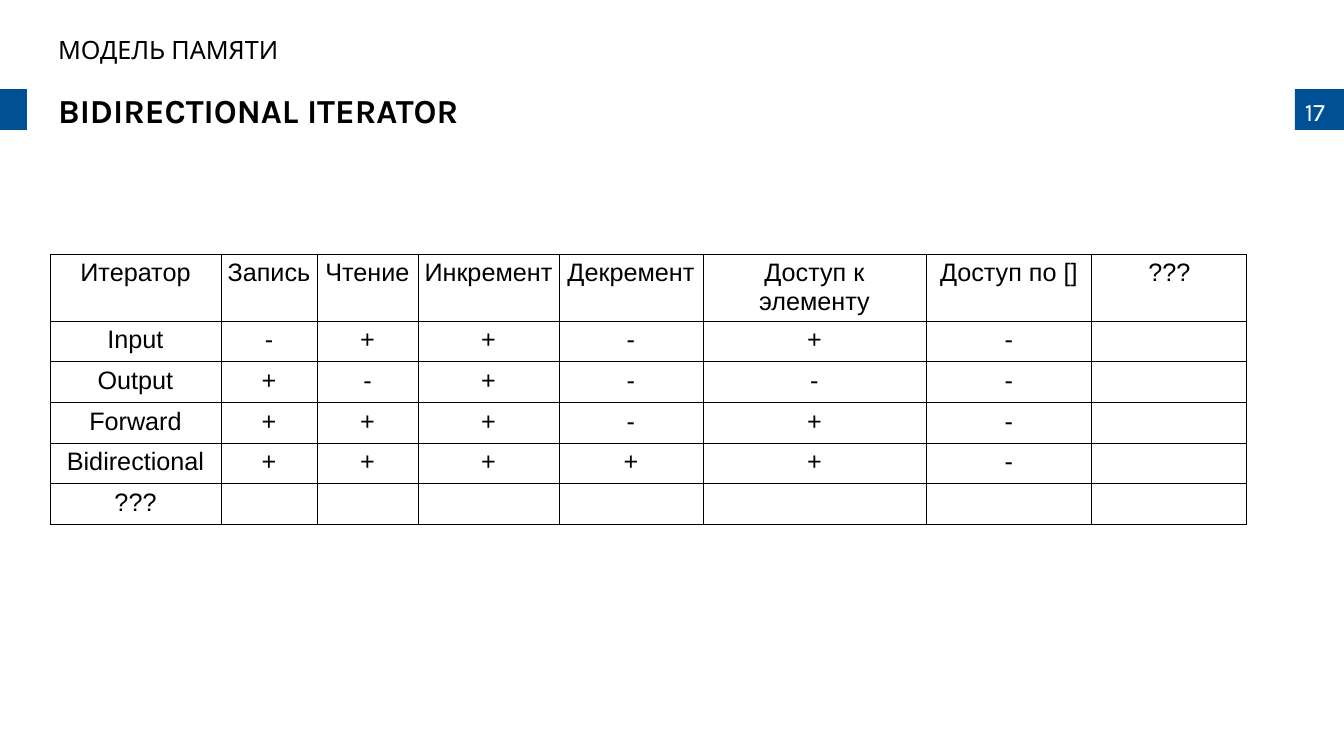
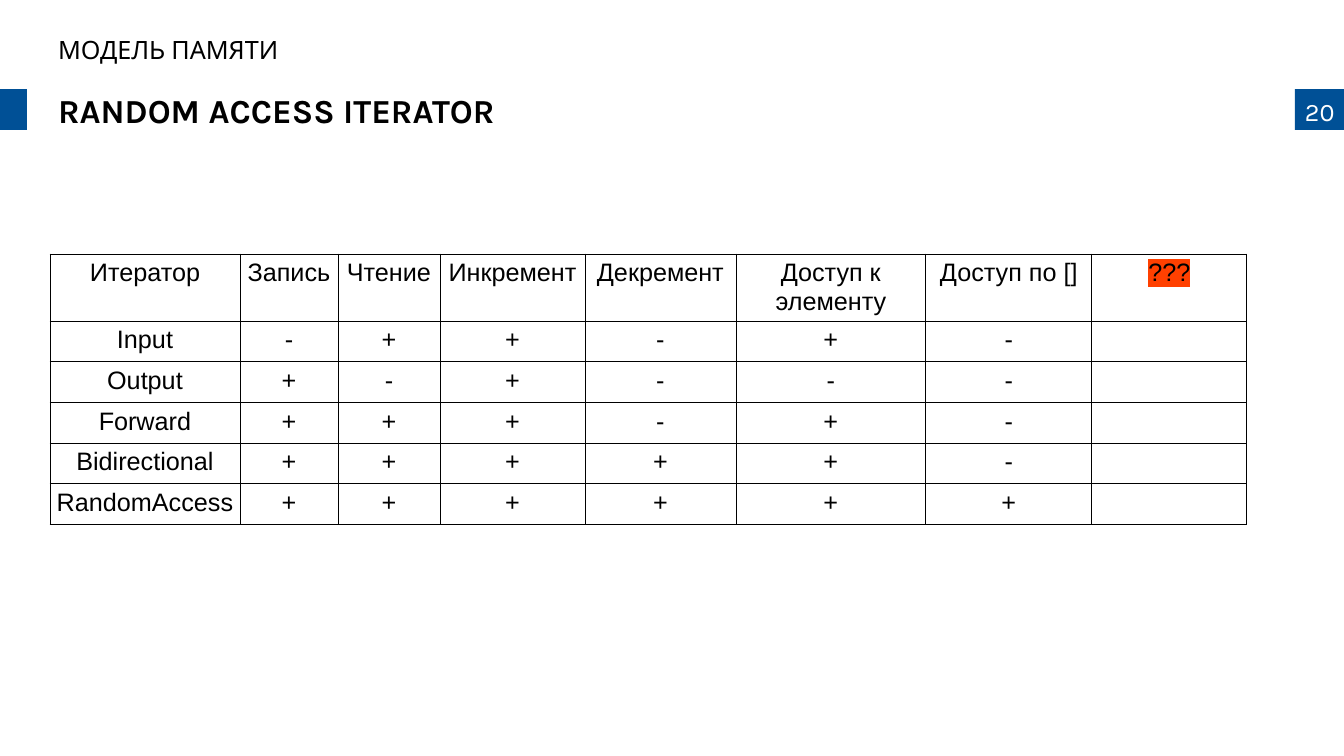
from lxml import etree
from pptx import Presentation
from pptx.dml.color import RGBColor
from pptx.enum.shapes import MSO_SHAPE
from pptx.enum.text import MSO_ANCHOR, MSO_AUTO_SIZE, PP_ALIGN
from pptx.oxml.ns import qn
from pptx.util import Pt

RECT = MSO_SHAPE.RECTANGLE
TOP = MSO_ANCHOR.TOP
NO_FIT = MSO_AUTO_SIZE.NONE
LEFT, CENTER = PP_ALIGN.LEFT, PP_ALIGN.CENTER

SLIDE_W, SLIDE_H = 1344, 756
EMU_PER_PX = 12192000 / SLIDE_W
TITLE_ONLY = 5

BLUE, BLACK, WHITE, ORANGE = "005096", "000000", "FFFFFF", "FF4000"
HEAD_FONT, TABLE_FONT = "Karla", "Arial"

BAND_Y, BAND_H = 89, 41
LEFT_BAND_W, RIGHT_BAND_W = 27, 49
RIGHT_BAND_X = SLIDE_W - RIGHT_BAND_W
HEAD_X, HEAD_W = 48, 1099
INSET_X, INSET_Y = 10, 5

TABLE_X, TABLE_Y = 50, 254
HEADER_H, ROW_H = 67, 40
CELL_INSET_X = 4
BORDER_PT = 0.57

SECTION = "МОДЕЛЬ ПАМЯТИ"
UNKNOWN = "???"
HEADER = ["Итератор", "Запись", "Чтение", "Инкремент", "Декремент",
          "Доступ к элементу", "Доступ по []", UNKNOWN]
# One mark per operation, in the order of the header
KNOWN_ITERATORS = [
    ("Input", "-++-+-"),
    ("Output", "+-+---"),
    ("Forward", "+++-+-"),
    ("Bidirectional", "+++++-"),
]


def px(n):
    return round(n * EMU_PER_PX)


def rgb(color):
    return RGBColor.from_string(color)


def format_paragraph(p, size, font, color, bold=False, align=LEFT):
    p.alignment = align
    for r in p.runs:
        r.font.size = Pt(size)
        r.font.name = font
        r.font.bold = bold
        r.font.color.rgb = rgb(color)


def fill_text(sp, text, box, size, color=BLACK, bold=False, spacing=0.9,
              right_inset=INSET_X):
    """Place a text shape and give it one line of heading text."""
    sp.left, sp.top, sp.width, sp.height = map(px, box)
    tf = sp.text_frame
    tf.text = text
    tf.word_wrap = True
    tf.auto_size = NO_FIT
    tf.vertical_anchor = TOP
    tf.margin_left, tf.margin_right = px(INSET_X), px(right_inset)
    tf.margin_top = tf.margin_bottom = px(INSET_Y)
    p = tf.paragraphs[0]
    p.line_spacing = spacing
    p.space_before = Pt(0)
    format_paragraph(p, size, HEAD_FONT, color, bold)


def add_text(slide, text, box, size, **style):
    sp = slide.shapes.add_textbox(*map(px, box))
    fill_text(sp, text, box, size, **style)


def add_band(slide, x, w):
    sp = slide.shapes.add_shape(RECT, px(x), px(BAND_Y), px(w), px(BAND_H))
    sp.shadow.inherit = False
    sp.fill.solid()
    sp.fill.fore_color.rgb = rgb(BLUE)
    sp.line.fill.background()


def add_frame(prs, title, number):
    """Add a slide with its bands, page number, title and section name."""
    slide = prs.slides.add_slide(prs.slide_layouts[TITLE_ONLY])
    add_band(slide, 0, LEFT_BAND_W)
    add_band(slide, RIGHT_BAND_X, RIGHT_BAND_W)
    add_text(slide, str(number), (RIGHT_BAND_X, 91, 47, 40), 18,
             color=WHITE, spacing=1.0, right_inset=0)
    fill_text(slide.shapes.title, title, (HEAD_X, BAND_Y, HEAD_W, BAND_H), 24,
              bold=True)
    add_text(slide, SECTION, (HEAD_X, 33, HEAD_W, 34), 18)
    return slide


def set_borders(cell):
    tc_pr = cell._tc.get_or_add_tcPr()
    for i, side in enumerate(("lnL", "lnR", "lnT", "lnB")):
        ln = etree.Element(qn(f"a:{side}"), w=str(Pt(BORDER_PT)))
        fill = etree.SubElement(ln, qn("a:solidFill"))
        etree.SubElement(fill, qn("a:srgbClr"), val=BLACK)
        tc_pr.insert(i, ln)


def highlight(r, color):
    mark = etree.Element(qn("a:highlight"))
    etree.SubElement(mark, qn("a:srgbClr"), val=color)
    r.font._element.find(qn("a:solidFill")).addnext(mark)


def fill_cell(cell, text):
    cell.fill.background()
    set_borders(cell)
    cell.margin_left = cell.margin_right = px(CELL_INSET_X)
    cell.margin_top = cell.margin_bottom = px(INSET_Y)
    cell.vertical_anchor = TOP
    cell.text = text
    format_paragraph(cell.text_frame.paragraphs[0], 18, TABLE_FONT, BLACK,
                     align=CENTER)


def add_iterator_table(slide, iterators, col_widths):
    rows = [HEADER] + [[name, *marks] for name, marks in iterators]
    heights = [HEADER_H] + [ROW_H] * len(iterators)
    frame = slide.shapes.add_table(
        len(rows), len(HEADER), px(TABLE_X), px(TABLE_Y),
        px(sum(col_widths)), px(sum(heights)))
    table = frame.table
    table.first_row = table.horz_banding = False
    for col, w in zip(table.columns, col_widths):
        col.width = px(w)
    for i, (texts, h) in enumerate(zip(rows, heights)):
        table.rows[i].height = px(h)
        for j in range(len(HEADER)):
            fill_cell(table.cell(i, j), texts[j] if j < len(texts) else "")
    return table


def main():
    prs = Presentation()
    prs.slide_width, prs.slide_height = px(SLIDE_W), px(SLIDE_H)

    slide = add_frame(prs, "BIDIRECTIONAL ITERATOR", 17)
    add_iterator_table(slide, KNOWN_ITERATORS + [(UNKNOWN, "")],
                       [171, 96, 101, 141, 144, 223, 166, 155])

    slide = add_frame(prs, "RANDOM ACCESS ITERATOR", 20)
    table = add_iterator_table(
        slide, KNOWN_ITERATORS + [("RandomAccess", "++++++")],
        [190, 98, 102, 145, 151, 190, 166, 155])
    last_header = table.cell(0, len(HEADER) - 1)
    highlight(last_header.text_frame.paragraphs[0].runs[0], ORANGE)

    prs.save("out.pptx")


if __name__ == "__main__":
    main()
